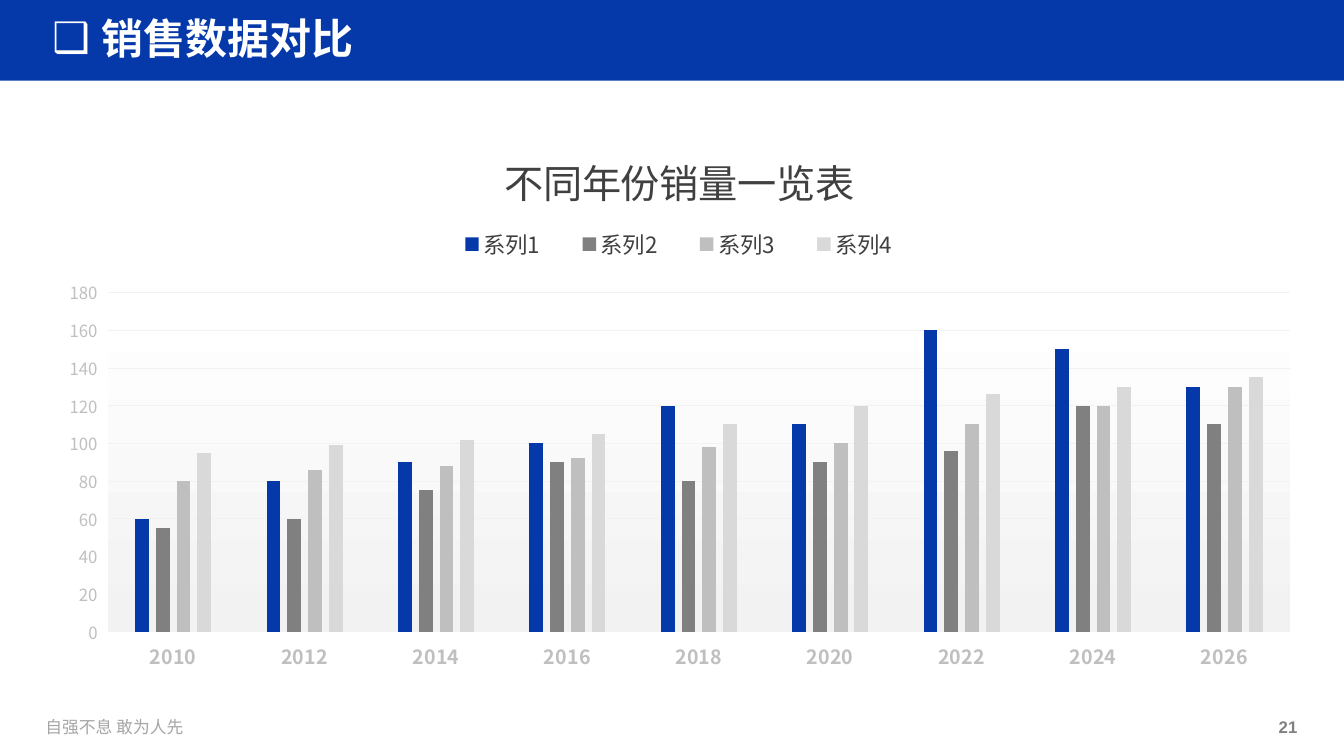
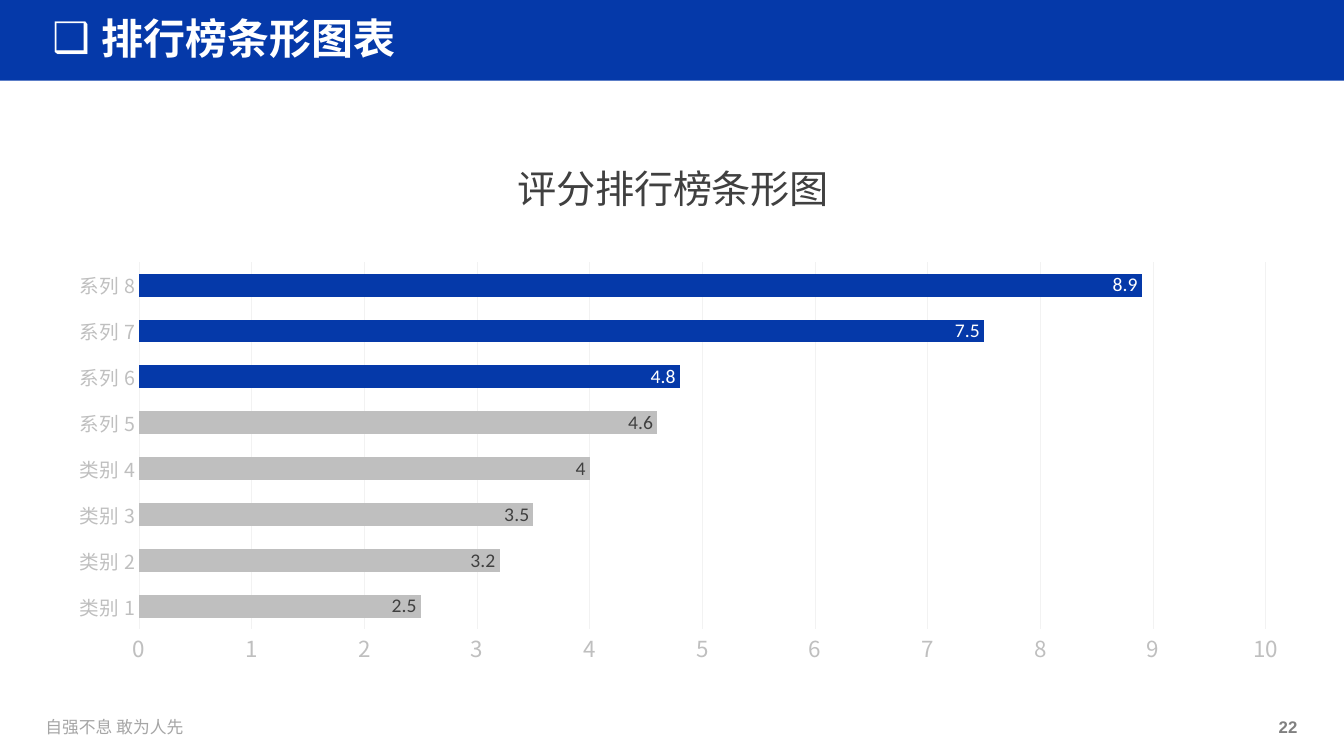
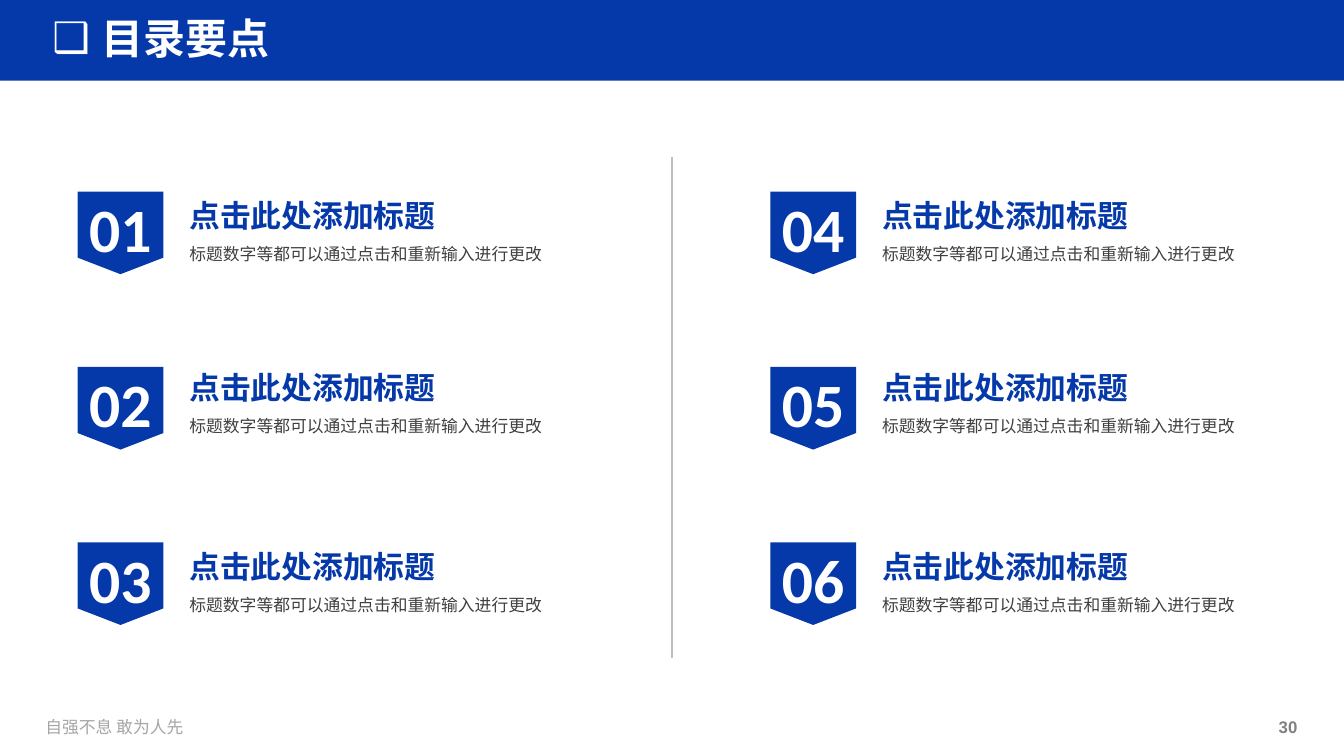
from dataclasses import dataclass

from lxml.etree import SubElement
from pptx import Presentation
from pptx.chart.data import CategoryChartData
from pptx.dml.color import RGBColor
from pptx.enum.chart import XL_CHART_TYPE as ChartType
from pptx.enum.chart import XL_LABEL_POSITION as LabelPosition
from pptx.enum.chart import XL_LEGEND_POSITION as LegendPosition
from pptx.enum.chart import XL_TICK_LABEL_POSITION as TickLabels
from pptx.enum.chart import XL_TICK_MARK as TickMark
from pptx.enum.shapes import MSO_CONNECTOR as Connector
from pptx.enum.shapes import MSO_SHAPE as Shape
from pptx.enum.text import MSO_ANCHOR as Anchor
from pptx.enum.text import MSO_AUTO_SIZE as AutoSize
from pptx.enum.text import PP_ALIGN as Align
from pptx.oxml import parse_xml
from pptx.oxml.ns import nsdecls, qn
from pptx.util import Inches, Pt


@dataclass(frozen=True)
class Theme:
    blue: str = "0539A9"
    white: str = "FFFFFF"
    ink: str = "404040"
    gray: str = "808080"
    footer: str = "A6A6A6"
    silver: str = "BFBFBF"
    light: str = "D9D9D9"
    grid: str = "F2F2F2"
    cjk: str = "Noto Sans CJK SC"
    latin: str = "Calibri"
    number: str = "Arial"
    title_size: int = 30
    chart_title_size: int = 28
    badge_size: int = 44
    heading_size: int = 22
    large_size: int = 16
    label_size: int = 14
    small_size: int = 12
    chart_size: int = 10


theme = Theme()


def style(font, size, color, bold=False, name=theme.cjk):
    """Format a font, for Latin and East Asian text alike."""
    font.size, font.bold, font.name = Pt(size), bold, name
    font.color.rgb = RGBColor.from_string(color)
    latin = font._element.find(qn("a:latin"))
    latin.addnext(parse_xml(f'<a:ea {nsdecls("a")} typeface="{name}"/>'))


def place(part, index, **fractions):
    """Give a chart part a fixed place, in fractions of the chart."""
    for automatic in part.findall(qn("c:layout")):
        part.remove(automatic)
    layout = parse_xml(f'<c:layout {nsdecls("c")}/>')
    manual = SubElement(layout, qn("c:manualLayout"))
    if part.tag == qn("c:plotArea"):
        SubElement(manual, qn("c:layoutTarget")).set("val", "inner")
    for side in "xy":
        SubElement(manual, qn(f"c:{side}Mode")).set("val", "edge")
    for key, value in fractions.items():
        SubElement(manual, qn(f"c:{key}")).set("val", str(value))
    part.insert(index, layout)


prs = Presentation()
prs.slide_width, prs.slide_height = Inches(13.33), Inches(7.5)
title_only = prs.slide_layouts[5]

# Titles and page numbers
slides = []
for heading, number in [("销售数据对比", "21"), ("排行榜条形图表", "22"), ("目录要点", "30")]:
    slide = prs.slides.add_slide(title_only)
    slides.append(slide)
    title = slide.shapes.title
    title.left, title.top = Inches(0.52), Inches(0.18)
    title.width, title.height = Inches(12.28), Inches(0.45)
    page = slide.shapes.add_textbox(Inches(12.67), Inches(7.11), Inches(0.21), Inches(0.2))
    for box, text in [(title, heading), (page, number)]:
        frame = box.text_frame
        frame.text = text
        frame.margin_left = frame.margin_right = frame.margin_top = frame.margin_bottom = 0
        frame.vertical_anchor = Anchor.MIDDLE
        frame.word_wrap = box is title
        frame.auto_size = AutoSize.SHAPE_TO_FIT_TEXT

    title_line = title.text_frame.paragraphs[0]
    title_line.alignment = Align.LEFT
    title_line.line_spacing = 0.9
    bullet = title_line._p.get_or_add_pPr()
    bullet.set("marL", str(Inches(0.49)))
    bullet.set("indent", str(Inches(-0.49)))
    SubElement(bullet, qn("a:buFont")).set("typeface", theme.number)
    SubElement(bullet, qn("a:buChar")).set("char", "❑")
    style(title_line.runs[0].font, theme.title_size, theme.white, True)

    page_line = page.text_frame.paragraphs[0]
    page_line.alignment = Align.CENTER
    style(page_line.runs[0].font, theme.small_size, theme.gray, True, theme.number)

sales_slide, ranking_slide, contents_slide = slides

# Band and motto, moved to the layout so that all slides share them
band = sales_slide.shapes.add_shape(Shape.RECTANGLE, 0, 0, prs.slide_width, Inches(0.8))
band.shadow.inherit = False
band.fill.solid()
band.fill.fore_color.rgb = RGBColor.from_string(theme.blue)
band.line.fill.background()
motto = sales_slide.shapes.add_textbox(Inches(0.45), Inches(7.11), Inches(1.6), Inches(0.2))
frame = motto.text_frame
frame.text = "自强不息 敢为人先"
frame.margin_left = frame.margin_right = frame.margin_top = frame.margin_bottom = 0
frame.word_wrap = True
frame.auto_size = AutoSize.SHAPE_TO_FIT_TEXT
style(frame.paragraphs[0].runs[0].font, theme.small_size, theme.footer)
for shared in (band, motto):
    title_only.shapes.element.append(shared.element)

# Sales by year
sales = CategoryChartData()
sales.categories = [str(year) for year in range(2010, 2027, 2)]
sales.add_series("系列1", [60, 80, 90, 100, 120, 110, 160, 150, 130])
sales.add_series("系列2", [55, 60, 75, 90, 80, 90, 96, 120, 110])
sales.add_series("系列3", [80, 86, 88, 92, 98, 100, 110, 120, 130])
sales.add_series("系列4", [95, 99, 102, 105, 110, 120, 126, 130, 135])
sales_chart = sales_slide.shapes.add_chart(
    ChartType.COLUMN_CLUSTERED, 0, Inches(1.04), prs.slide_width, Inches(6.01), sales).chart

# Ranking by score
ranking = CategoryChartData()
ranking.categories = ["类别 1", "类别 2", "类别 3", "类别 4",
                      "系列 5", "系列 6", "系列 7", "系列 8"]
ranking.add_series("Series 1", [2.5, 3.2, 3.5, 4, 4.6, 4.8, 7.5, 8.9])
ranking_chart = ranking_slide.shapes.add_chart(
    ChartType.BAR_CLUSTERED, Inches(0.52), Inches(1.08), Inches(12.28), Inches(5.51), ranking).chart

# Title, axes and bars of both charts
for chart, name, top, step, value_size, gap, colors in [
    (sales_chart, "不同年份销量一览表", 180, 20, theme.small_size, 400,
     [theme.blue, theme.gray, theme.silver, theme.light]),
    (ranking_chart, "评分排行榜条形图", 10, 1, theme.large_size, 100, [theme.silver]),
]:
    style(chart.font, theme.chart_size, theme.gray, name=theme.latin)
    chart.has_title = True
    chart.chart_title.text_frame.text = name
    style(chart.chart_title.text_frame.paragraphs[0].runs[0].font,
          theme.chart_title_size, theme.ink)
    chart.chart_title.include_in_layout = False
    chart.has_legend = chart is sales_chart

    years_or_names, values = chart.category_axis, chart.value_axis
    for axis in (years_or_names, values):
        axis.major_tick_mark = axis.minor_tick_mark = TickMark.NONE
        axis.format.line.fill.background()
    style(years_or_names.tick_labels.font, theme.label_size, theme.silver, chart is sales_chart)
    style(values.tick_labels.font, value_size, theme.silver)
    values.minimum_scale, values.maximum_scale, values.major_unit = 0, top, step
    values.has_major_gridlines = True
    values.major_gridlines.format.line.width = Pt(0.5)
    values.major_gridlines.format.line.color.rgb = RGBColor.from_string(theme.grid)

    plot = chart.plots[0]
    plot.vary_by_categories = False
    plot.gap_width = gap
    for series, color in zip(plot.series, colors):
        series.invert_if_negative = False
        series.format.fill.solid()
        series.format.fill.fore_color.rgb = RGBColor.from_string(color)

# Sales chart: legend, places and shaded plot area
sales_chart.plots[0].overlap = -50
sales_chart.category_axis.major_tick_mark = TickMark.OUTSIDE
sales_chart.value_axis.tick_label_position = TickLabels.LOW
sales_chart.legend.position = LegendPosition.TOP
sales_chart.legend.include_in_layout = False
style(sales_chart.legend.font, theme.large_size, theme.ink)
sales_parts = sales_chart.element.find(qn("c:chart"))
sales_area = sales_parts.find(qn("c:plotArea"))
place(sales_parts.find(qn("c:title")), 1, x=0.37, y=0.06)
place(sales_parts.find(qn("c:legend")), 1, x=0.32, y=0.19, w=0.37, h=0.08)
place(sales_area, 0, x=0.08, y=0.31, w=0.88, h=0.56)
sales_area.append(parse_xml(
    f'<c:spPr {nsdecls("c", "a")}><a:gradFill><a:gsLst>'
    f'<a:gs pos="4000"><a:srgbClr val="{theme.white}"/></a:gs>'
    f'<a:gs pos="100000"><a:srgbClr val="{theme.grid}"/></a:gs>'
    '</a:gsLst><a:lin ang="5400000" scaled="0"/></a:gradFill></c:spPr>'))

# Ranking chart: score labels, places and the three leaders in blue
scores = ranking_chart.plots[0].series[0]
scores.data_labels.show_value = True
scores.data_labels.position = LabelPosition.INSIDE_END
style(scores.data_labels.font, theme.label_size, theme.ink, name=theme.latin)
for leader in (5, 6, 7):
    point = scores.points[leader]
    point.format.fill.solid()
    point.format.fill.fore_color.rgb = RGBColor.from_string(theme.blue)
    style(point.data_label.font, theme.label_size, theme.white, name=theme.latin)
    point.data_label.position = LabelPosition.INSIDE_END
ranking_parts = ranking_chart.element.find(qn("c:chart"))
place(ranking_parts.find(qn("c:title")), 1, x=0.37, y=0.07)
place(ranking_parts.find(qn("c:plotArea")), 0, x=0.07, y=0.28, w=0.91, h=0.67)

# Contents: divider
middle = prs.slide_width // 2
divider = contents_slide.shapes.add_connector(
    Connector.STRAIGHT, middle, Inches(6.53), middle, Inches(1.56))
divider.line.width = Pt(1)
divider.line.color.rgb = RGBColor.from_string(theme.silver)
SubElement(divider.element.spPr, qn("a:effectLst"))

# Contents: two columns of three numbered entries
for column, left in enumerate([0.77, 7.64]):
    for row, text_top in enumerate([1.77, 3.47, 5.25]):
        badge = contents_slide.shapes.add_shape(
            Shape.FLOWCHART_OFFPAGE_CONNECTOR,
            Inches(left), Inches(1.9 + 1.74 * row), Inches(0.85), Inches(0.82))
        badge.shadow.inherit = False
        badge.fill.solid()
        badge.fill.fore_color.rgb = RGBColor.from_string(theme.blue)
        badge.line.fill.background()
        frame = badge.text_frame
        frame.text = f"{column * 3 + row + 1:02d}"
        frame.margin_left = frame.margin_right = 0
        frame.margin_top, frame.margin_bottom = Inches(0.16), Inches(0.1)
        frame.vertical_anchor = Anchor.MIDDLE
        frame.paragraphs[0].alignment = Align.CENTER
        style(frame.paragraphs[0].runs[0].font, theme.badge_size, theme.white, True, theme.latin)

        entry = contents_slide.shapes.add_textbox(
            Inches(left + 1.01), Inches(text_top), Inches(4.45), Inches(0.95))
        frame = entry.text_frame
        frame.text = "点击此处添加标题\n标题数字等都可以通过点击和重新输入进行更改"
        frame.margin_top = 0
        frame.word_wrap = True
        frame.auto_size = AutoSize.SHAPE_TO_FIT_TEXT
        entry_title, detail = frame.paragraphs
        entry_title.line_spacing = detail.line_spacing = 1.5
        detail.alignment = Align.JUSTIFY
        style(entry_title.runs[0].font, theme.heading_size, theme.blue, True)
        style(detail.runs[0].font, theme.small_size, theme.ink)

prs.save("out.pptx")
